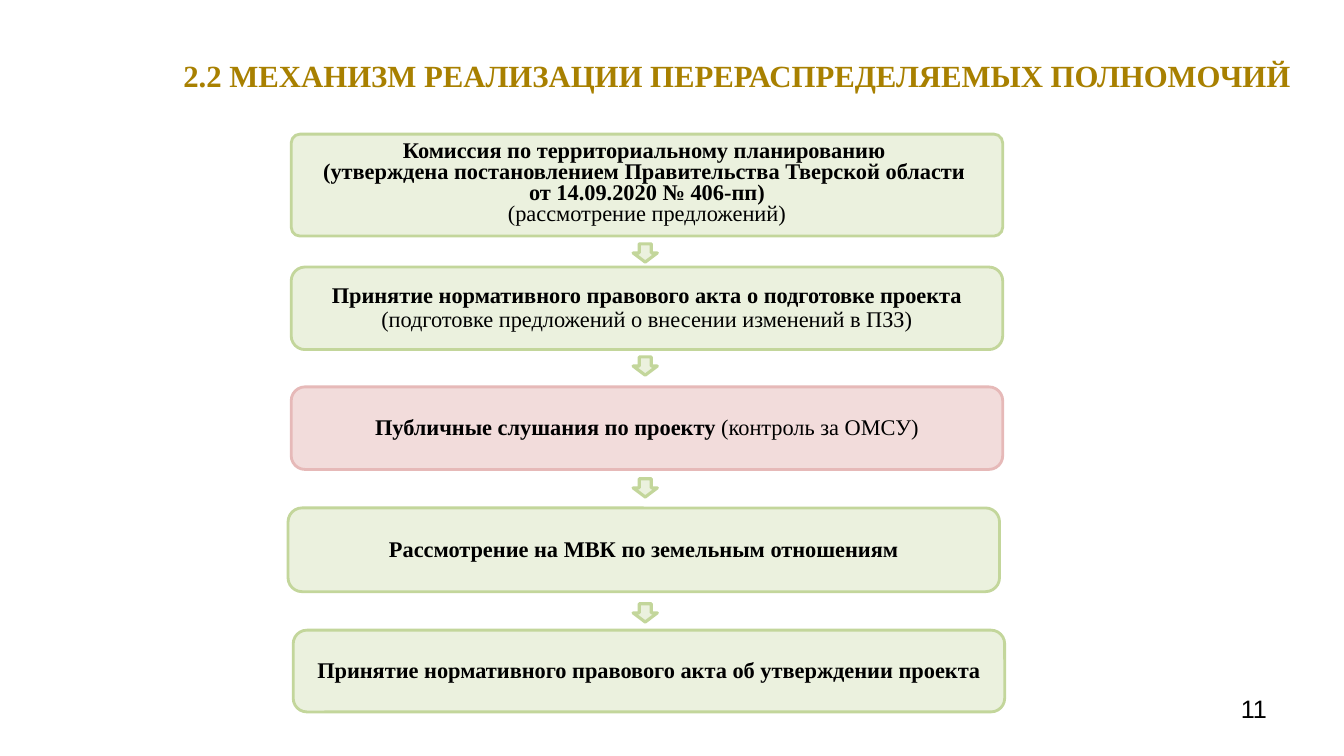
"""Build the slide showing how redistributed powers are exercised, step by step."""
from dataclasses import dataclass

from pptx import Presentation
from pptx.dml.color import RGBColor
from pptx.enum.shapes import MSO_SHAPE
from pptx.enum.text import MSO_ANCHOR, PP_ALIGN
from pptx.util import Cm, Pt

ROUNDED = MSO_SHAPE.ROUNDED_RECTANGLE
RIGHT_ARROW = MSO_SHAPE.RIGHT_ARROW
TOP, MIDDLE = MSO_ANCHOR.TOP, MSO_ANCHOR.MIDDLE
CENTER, RIGHT = PP_ALIGN.CENTER, PP_ALIGN.RIGHT


@dataclass(frozen=True)
class Theme:
    """Colours, fonts and type sizes of the slide."""
    green_fill: str = "EBF1DE"
    green_line: str = "C3D69B"
    red_fill: str = "F2DCDB"
    red_line: str = "E6B9B8"
    title_color: str = "A88000"
    text_color: str = "000000"
    serif: str = "Times New Roman"
    sans: str = "Arial"
    title_size: float = 22
    number_size: float = 18
    step_size: float = 16
    step_line: float = 2
    arrow_line: float = 2.25


THEME = Theme()


@dataclass(frozen=True)
class Run:
    """A piece of text with one weight."""
    text: str
    bold: bool = True


@dataclass(frozen=True)
class Step:
    """One box of the process, with lengths in centimetres."""
    left: float
    top: float
    height: float
    paragraphs: list[list[Run]]
    fill: str = THEME.green_fill
    line: str = THEME.green_line
    spacing: float = 17
    anchor: MSO_ANCHOR = MIDDLE
    corner: float = 0.1667


STEP_WIDTH = 17.93
STEPS = [
    Step(7.34, 3.38, 2.57, [
        [Run("Комиссия по территориальному планированию ")],
        [Run("(утверждена постановлением Правительства Тверской области \nот 14.09.2020 № 406-пп)")],
        [Run("(рассмотрение предложений)", False)],
    ], spacing=15, anchor=TOP, corner=0.086),
    Step(7.34, 6.73, 2.08, [
        [Run("Принятие нормативного правового акта о подготовке проекта")],
        [Run("(подготовке предложений о внесении изменений в ПЗЗ)", False)],
    ]),
    Step(7.34, 9.75, 2.08, [
        [Run("Публичные слушания по проекту "), Run("(контроль за ОМСУ)", False)],
    ], fill=THEME.red_fill, line=THEME.red_line),
    Step(7.26, 12.8, 2.11, [[Run("Рассмотрение на МВК по земельным отношениям")]]),
    Step(7.39, 15.88, 2.06, [[Run("Принятие нормативного правового акта об утверждении проекта")]]),
]
ARROW_LEFT, ARROW_WIDTH, ARROW_HEIGHT = 16.03, 0.46, 0.61
ARROW_TOPS = [6.07, 8.92, 11.99, 15.14]


def write_text(shape, paragraphs: list[list[Run]], *, size: float, font: str = THEME.serif,
               color: str = THEME.text_color, align: PP_ALIGN = CENTER,
               anchor: MSO_ANCHOR = MIDDLE, spacing: float | None = None) -> None:
    """Fill a shape with formatted paragraphs; a newline in a run is a line break."""
    frame = shape.text_frame
    frame.word_wrap = True
    frame.vertical_anchor = anchor
    for index, runs in enumerate(paragraphs):
        paragraph = frame.add_paragraph() if index else frame.paragraphs[0]
        paragraph.alignment = align
        if spacing:
            paragraph.line_spacing = Pt(spacing)
        for item in runs:
            for position, line in enumerate(item.text.split("\n")):
                if position:
                    paragraph.add_line_break()
                run = paragraph.add_run()
                run.text = line
                run.font.name = font
                run.font.size = Pt(size)
                run.font.bold = item.bold
                run.font.color.rgb = RGBColor.from_string(color)


def add_block(slide, kind: MSO_SHAPE, left: float, top: float, width: float, height: float,
              fill: str, line: str, line_width: float):
    """Add a filled and outlined preset shape."""
    shape = slide.shapes.add_shape(kind, Cm(left), Cm(top), Cm(width), Cm(height))
    shape.shadow.inherit = False
    shape.fill.solid()
    shape.fill.fore_color.rgb = RGBColor.from_string(fill)
    shape.line.color.rgb = RGBColor.from_string(line)
    shape.line.width = Pt(line_width)
    return shape


def add_step(slide, step: Step) -> None:
    """Draw one step of the process."""
    shape = add_block(slide, ROUNDED, step.left, step.top, STEP_WIDTH, step.height,
                      step.fill, step.line, THEME.step_line)
    shape.adjustments[0] = step.corner
    write_text(shape, step.paragraphs, size=THEME.step_size,
               anchor=step.anchor, spacing=step.spacing)


def add_down_arrow(slide, top: float) -> None:
    """Draw the arrow leading to the next step."""
    arrow = add_block(slide, RIGHT_ARROW, ARROW_LEFT, top, ARROW_WIDTH, ARROW_HEIGHT,
                      THEME.green_fill, THEME.green_line, THEME.arrow_line)
    arrow.rotation = 90


def main() -> None:
    """Build and save the presentation."""
    presentation = Presentation()
    presentation.slide_width = Cm(33.87)
    presentation.slide_height = Cm(19.05)
    slide = presentation.slides.add_slide(presentation.slide_layouts[6])

    number = slide.shapes.add_textbox(Cm(24.28), Cm(17.35), Cm(7.9), Cm(1.32))
    write_text(number, [[Run("11", False)]], size=THEME.number_size, font=THEME.sans,
               align=RIGHT, anchor=TOP)
    for step in STEPS:
        add_step(slide, step)
    title = slide.shapes.add_textbox(Cm(4.04), Cm(0.74), Cm(29.06), Cm(2.29))
    write_text(title, [[Run("2.2 МЕХАНИЗМ РЕАЛИЗАЦИИ ПЕРЕРАСПРЕДЕЛЯЕМЫХ ПОЛНОМОЧИЙ")]],
               size=THEME.title_size, color=THEME.title_color)
    for top in ARROW_TOPS:
        add_down_arrow(slide, top)

    presentation.save("out.pptx")


if __name__ == "__main__":
    main()
